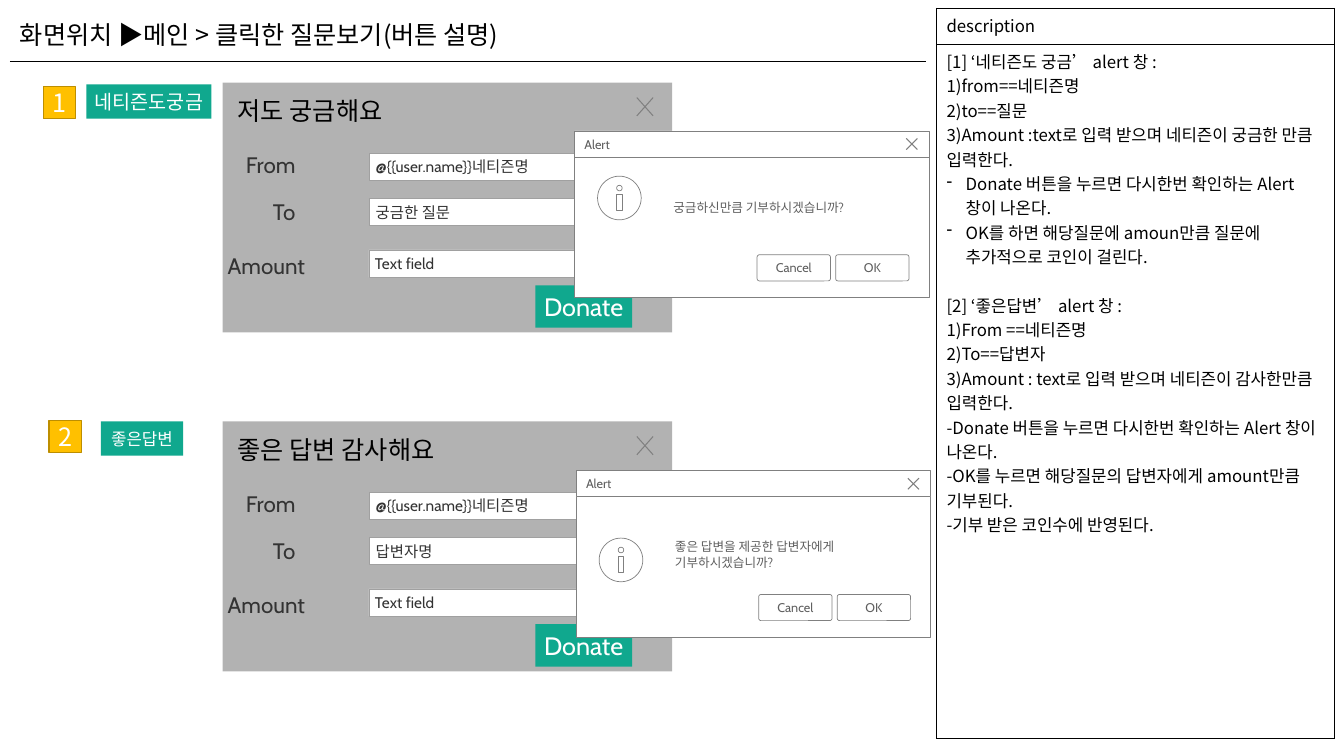
from lxml.etree import SubElement
from pptx import Presentation
from pptx.dml.color import RGBColor
from pptx.enum.shapes import MSO_CONNECTOR, MSO_SHAPE
from pptx.enum.text import MSO_ANCHOR, MSO_AUTO_SIZE, PP_ALIGN
from pptx.oxml.ns import qn
from pptx.util import Cm, Pt

KOREAN, LATIN = "Noto Sans CJK KR", "Cabin"
BLACK, WHITE, GREEN, GREY = "000000", "FFFFFF", "10A88E", "808080"
DARK, DIM = "333333", "5F5F5F"
SIDES = ("left", "top", "right", "bottom")
DEFAULT_INSETS = (0.25, 0.13, 0.25, 0.13)

DESCRIPTION = [
    "[1] ‘네티즌도 궁금’ alert 창 :",
    "1)from==네티즌명",
    "2)to==질문",
    "3)Amount :text로 입력 받으며 네티즌이 궁금한 만큼 입력한다.",
    "• Donate 버튼을 누르면 다시한번 확인하는 Alert창이 나온다.",
    "• OK를 하면 해당질문에 amoun만큼 질문에 추가적으로 코인이 걸린다.",
    "[2] ‘좋은답변’ alert 창 :",
    "1)From ==네티즌명",
    "2)To==답변자",
    "3)Amount : text로 입력 받으며 네티즌이 감사한만큼 입력한다.",
    "-Donate 버튼을 누르면 다시한번 확인하는 Alert 창이 나온다.",
    "-OK를 누르면 해당질문의 답변자에게 amount만큼 기부된다.",
    "-기부 받은 코인수에 반영된다.",
]


def rgb(value):
    return RGBColor.from_string(value)


def box(*lengths):
    return [Cm(v) for v in lengths]


class Page:
    """Holds the slide and the shape collection that new elements join."""

    def __init__(self, prs):
        self.s = prs.slides.add_slide(prs.slide_layouts[5])
        self.shapes = self.s.shapes

    def start_group(self):
        self.shapes = self.s.shapes.add_group_shape().shapes

    def end_group(self):
        self.shapes = self.s.shapes

    def add_text(self, p, text, size, font=LATIN, color=DARK, align=PP_ALIGN.LEFT):
        p.alignment = align
        r = p.add_run()
        r.text = text
        for name, value in {"name": font, "size": Pt(size), "bold": False}.items():
            setattr(r.font, name, value)
        r.font.color.rgb = rgb(color)
        SubElement(r.font._element, qn("a:ea"), typeface=KOREAN)

    def frame(self, tf, insets, anchor):
        values = {f"margin_{side}": Cm(v) for side, v in zip(SIDES, insets)}
        values |= {"word_wrap": True, "vertical_anchor": anchor,
                   "auto_size": MSO_AUTO_SIZE.NONE}
        for name, value in values.items():
            setattr(tf, name, value)

    def title(self, text, at):
        sp = self.s.shapes.title
        for name, value in zip(("left", "top", "width", "height"), box(*at)):
            setattr(sp, name, value)
        self.frame(sp.text_frame, DEFAULT_INSETS, MSO_ANCHOR.TOP)
        self.add_text(sp.text_frame.paragraphs[0], text, 18, KOREAN, BLACK)

    def text(self, text, at, size, insets=(0, 0, 0, 0), **style):
        tf = self.shapes.add_textbox(*box(*at)).text_frame
        self.frame(tf, insets, MSO_ANCHOR.TOP)
        self.add_text(tf.paragraphs[0], text, size, **style)

    def outline(self, sp, line, width):
        sp.shadow.inherit = False
        if line:
            sp.line.color.rgb = rgb(line)
            sp.line.width = Pt(width)
        else:
            sp.line.fill.background()

    def shape(self, at, fill=WHITE, line=None, width=0.5, kind=MSO_SHAPE.RECTANGLE,
              text=None, size=9, insets=(0, 0, 0, 0), **style):
        sp = self.shapes.add_shape(kind, *box(*at))
        self.outline(sp, line, width)
        if fill:
            sp.fill.solid()
            sp.fill.fore_color.rgb = rgb(fill)
        else:
            sp.fill.background()
        if text:
            self.frame(sp.text_frame, insets, MSO_ANCHOR.MIDDLE)
            self.add_text(sp.text_frame.paragraphs[0], text, size, **style)
        return sp

    def button(self, text, at, size, **style):
        self.shape(at, GREEN, text=text, size=size, color=WHITE,
                   align=PP_ALIGN.CENTER, **style)

    def cross(self, x, y, w, h):
        fb = self.shapes.build_freeform(Cm(x + w), Cm(y))
        fb.add_line_segments([box(x, y + h)], close=False)
        fb.move_to(*box(x, y))
        fb.add_line_segments([box(x + w, y + h)], close=False)
        sp = fb.convert_to_shape()
        sp.fill.background()
        self.outline(sp, GREY, 0.75)

    def rule(self, x1, y1, x2, y2):
        c = self.shapes.add_connector(MSO_CONNECTOR.STRAIGHT, *box(x1, y1, x2, y2))
        c.line.color.rgb = rgb(BLACK)
        c.line.width = Pt(0.5)
        SubElement(c._element.spPr, qn("a:effectLst"))

    def table(self, at, heights, contents):
        """Draw a one-column table; each cell holds a list of paragraphs."""
        table = self.shapes.add_table(len(heights), 1, *box(*at)).table
        table.first_row = table.horz_banding = False
        for row, height, lines in zip(table.rows, heights, contents):
            row.height = Cm(height)
            cell = row.cells[0]
            tc_pr = cell._tc.get_or_add_tcPr()
            for edge in "LRTB":
                ln = SubElement(tc_pr, qn(f"a:ln{edge}"), w=str(Pt(0.25)))
                fill = SubElement(ln, qn("a:solidFill"))
                SubElement(fill, qn("a:srgbClr"), val=BLACK)
            cell.fill.background()
            for i, line in enumerate(lines):
                tf = cell.text_frame
                p = tf.add_paragraph() if i else tf.paragraphs[0]
                self.add_text(p, line.removeprefix("• "), 12, KOREAN, BLACK)
                if line.startswith("• "):
                    p_pr = p._p.get_or_add_pPr()
                    p_pr.set("marL", str(Cm(0.48)))
                    p_pr.set("indent", str(Cm(-0.48)))
                    SubElement(p_pr, qn("a:buChar"), char="-")
                if line.startswith("[2]"):
                    p.space_before = Pt(17.4)


def donate_form(page, top, heading, target):
    panel = page.shape((5.61, top, 11.33, 6.3), GREY)
    color = panel._element.spPr.find(f"{qn('a:solidFill')}/{qn('a:srgbClr')}")
    SubElement(color, qn("a:alpha"), val="60000")
    rows = [("From", 6.2, 3.35, 1.73, "@{{user.name}}네티즌명", 9.32, 1.78),
            ("To", 6.88, 0.94, 2.92, target, 9.32, 2.92),
            ("Amount", 5.74, 2.06, 4.27, "Text field", 9.3, 4.22)]
    for label, x, w, dy, value, field_x, field_dy in rows:
        page.shape((field_x, top + field_dy, 6.63, 0.69), line="A0A0A0", text=value,
                   size=11, insets=(0.15, 0, 0.15, 0))
        page.text(label, (x, top + dy, w, 0.69), 16)
    page.text(heading, (5.74, top + 0.2, 10.39, 1.02), 18, DEFAULT_INSETS,
              font=KOREAN, color=BLACK)
    page.button("Donate", (13.49, top + 5.11, 2.44, 1.07), 18)
    page.cross(16.05, top + 0.38, 0.41, 0.46)


def alert(page, x, y, message, message_height, icon_dy):
    page.start_group()
    page.shape((x, y + 0.66, 8.94, 3.53), line=GREY)
    page.text(message, (x + 2.29, y + 1.63, 5.23, message_height), 9,
              (0.2, 0.1, 0.2, 0.1), color=DIM)
    page.shape((x, y, 8.94, 0.66), line=GREY, text="Alert",
               insets=(0.25, 0.13, 0.64, 0.13), color=DIM)
    page.cross(x + 8.36, y + 0.19, 0.28, 0.28)
    icon_x, icon_y = x + 0.58, y + icon_dy
    for dx, dy, w, h, kind in [(0, 0, 1.1, 1.1, MSO_SHAPE.OVAL),
                               (0.48, 0.23, 0.14, 0.14, MSO_SHAPE.OVAL),
                               (0.48, 0.46, 0.14, 0.4, MSO_SHAPE.RECTANGLE)]:
        page.shape((icon_x + dx, icon_y + dy, w, h), None, GREY, kind=kind)
    for text, dx in [("OK", 6.58), ("Cancel", 4.6)]:
        sp = page.shape((x + dx, y + 3.12, 1.85, 0.66), line=GREY, text=text,
                        kind=MSO_SHAPE.ROUNDED_RECTANGLE, color=DIM,
                        align=PP_ALIGN.CENTER)
        sp.adjustments[0] = 0.09
    page.end_group()


def main():
    prs = Presentation()
    prs.slide_width, prs.slide_height = box(33.87, 19.05)
    page = Page(prs)
    page.title("화면위치 ▶메인 > 클릭한 질문보기(버튼 설명)", (0.25, 0.36, 18.42, 1.02))
    page.table((23.6, 0.2, 10.01, 18.41), (0.91, 17.5), (["description"], DESCRIPTION))
    page.rule(0.25, 1.55, 23.34, 1.55)

    page.button("네티즌도궁금", (2.18, 2.13, 3.15, 0.86), 14)
    page.button("좋은답변", (2.54, 10.62, 2.08, 0.86), 12)
    donate_form(page, 2.08, "저도 궁금해요", "궁금한 질문")
    donate_form(page, 10.62, "좋은 답변 감사해요", "답변자명")
    for number, x, y in [("1", 1.09, 2.18), ("2", 1.24, 10.59)]:
        page.shape((x, y, 0.81, 0.81), "FFC000", "BD8E00", 1, text=number, size=18,
                   font=KOREAN, color=WHITE, align=PP_ALIGN.CENTER)
    alert(page, 14.48, 3.3, "궁금하신만큼 기부하시겠습니까?", 0.71, 1.14)
    alert(page, 14.52, 11.86, "좋은 답변을 제공한 답변자에게 기부하시겠습니까?", 1.12, 1.7)
    prs.save("out.pptx")


if __name__ == "__main__":
    main()
